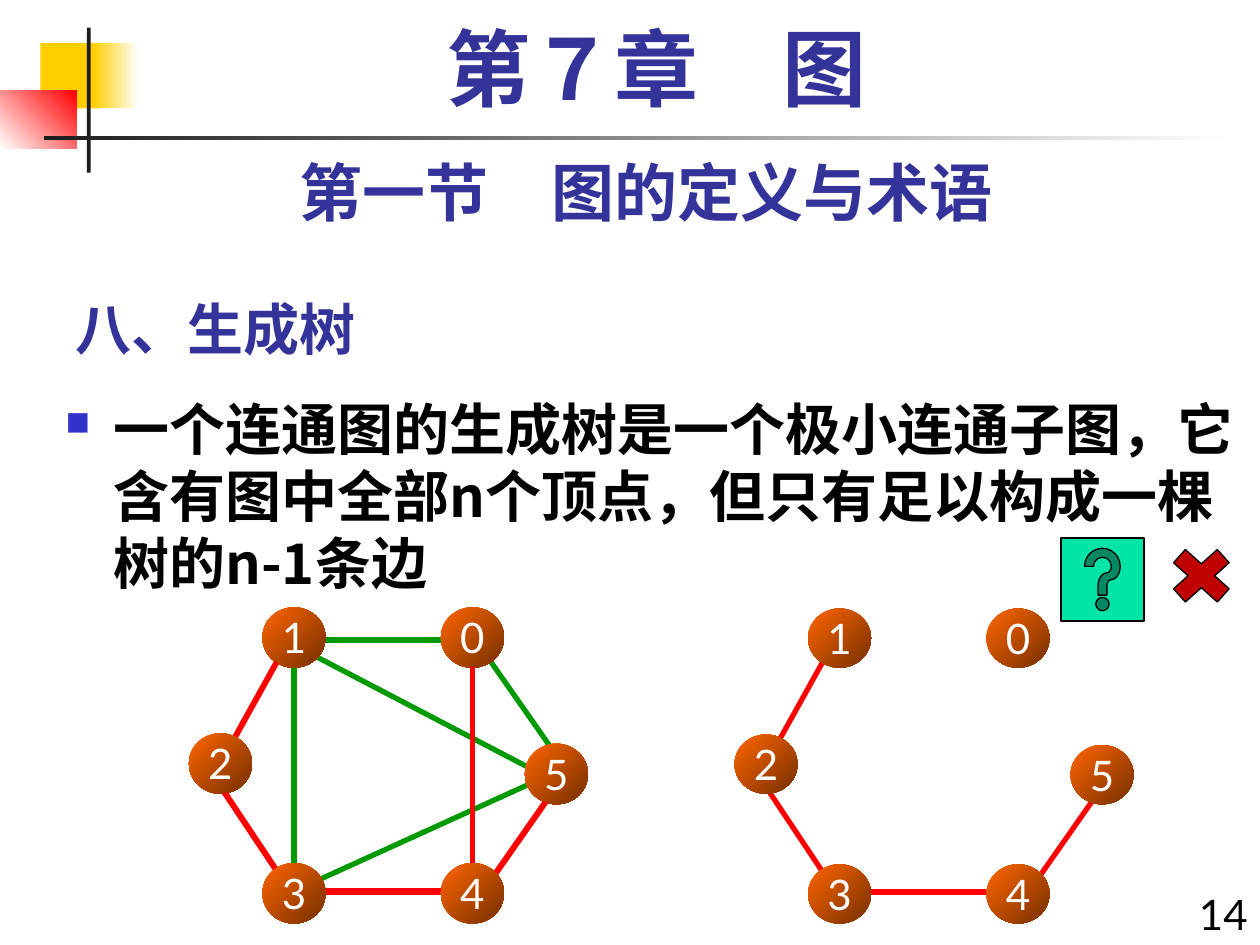
from typing import NamedTuple

from lxml.etree import SubElement
from pptx import Presentation
from pptx.dml.color import RGBColor
from pptx.enum.shapes import MSO_CONNECTOR as Link, MSO_SHAPE as Kind
from pptx.enum.text import MSO_ANCHOR as Anchor, PP_ALIGN as Align
from pptx.oxml.ns import qn
from pptx.util import Inches, Pt

SANS, LATO, SERIF = "Noto Sans CJK SC", "Lato", "Times New Roman"
BLUE, BLACK, WHITE, DARK = "333399", "000000", "FFFFFF", "1C1C1C"
GOLD, RED, GREEN = "FFCF01", "FF0000", "009900"
UNIT = 1 / 12  # grid step of the graphs, in inches


class Box(NamedTuple):
    left: float
    top: float
    width: float
    height: float

    def emu(self) -> list:
        return [Inches(v) for v in self]


class Node(NamedTuple):
    name: str
    col: float
    row: float


class Edge(NamedTuple):
    start: tuple
    end: tuple
    tree: bool


class Graph(NamedTuple):
    left: float
    top: float
    edges: list


class Patch(NamedTuple):
    box: Box
    fills: tuple
    angle: float = 0


NODES = [Node("1", 7, 0), Node("3", 7, 24.36), Node("2", 0, 12),
         Node("5", 32, 13), Node("4", 24, 24.36), Node("0", 24, 0)]
EDGES = [
    Edge((25, 3), (13, 3), False),
    Edge((27, 5), (27, 25), True),
    Edge((28, 4), (35, 14), False),
    Edge((9, 4), (4, 13), True),
    Edge((10, 26), (10, 5), False),
    Edge((34, 16), (11, 4), False),
    Edge((9, 26), (3, 17), True),
    Edge((26, 27), (11, 27), True),
    Edge((34, 16), (12, 26), False),
    Edge((35, 17), (28, 27), True),
]
TREE = [e for e in EDGES if e.tree]
GRAPHS = [Graph(1.5, 4.83, EDGES), Graph(1.5, 4.82, TREE),
          Graph(5.83, 4.83, TREE[1:])]
PATCHES = [
    Patch(Box(0.32, 0.34, 0.48, 0.52), (GOLD,)),
    Patch(Box(0.74, 0.34, 0.36, 0.52), (GOLD, WHITE)),
    Patch(Box(0, 0.72, 0.61, 0.46), (WHITE, RED), 45),
    Patch(Box(0.69, 0.22, 0.03, 1.15), (DARK,)),
    Patch(Box(0.35, 1.08, 9.45, 0.03), (DARK, WHITE)),
]


def color(code: str) -> RGBColor:
    return RGBColor.from_string(code)


def style(para, size: float, face: str, tint: str, bold: bool = False) -> None:
    font = para.font
    font.size, font.name, font.bold = Pt(size), face, bold
    font.color.rgb = color(tint)


def shape(slide, kind, box: Box, fills: tuple, angle: float = 0,
          rim: str = ""):
    """Add a preset shape with one flat colour or a two-colour gradient."""
    item = slide.shapes.add_shape(kind, *box.emu())
    item.shadow.inherit = False
    if len(fills) == 1:
        item.fill.solid()
        item.fill.fore_color.rgb = color(fills[0])
    else:
        item.fill.gradient()
        item.fill.gradient_angle = angle
        for stop, code, place in zip(item.fill.gradient_stops, fills, (0, 1)):
            stop.color.rgb = color(code)
            stop.position = place
    if rim:
        item.line.color.rgb = color(rim)
        item.line.width = Pt(0.75)
    else:
        item.line.fill.background()
    return item


def label(slide, box: Box, text: str, align=Align.LEFT, before: float = 0):
    """Add a wrapped text box and return its paragraph."""
    frame = slide.shapes.add_textbox(*box.emu()).text_frame
    frame.word_wrap = True
    para = frame.paragraphs[0]
    para.text, para.alignment, para.space_before = text, align, Pt(before)
    return para


def bullet(para, mark: str, tint: str, share: int) -> None:
    props = para._p.get_or_add_pPr()
    props.set("marL", str(Inches(0.38)))
    props.set("indent", str(-Inches(0.38)))
    parts = [SubElement(props, qn("a:buClr")), SubElement(props, qn("a:buSzPct")),
             SubElement(props, qn("a:buChar"))]
    SubElement(parts[0], qn("a:srgbClr")).set("val", tint)
    parts[1].set("val", str(share * 1000))
    parts[2].set("char", mark)


def draw_edge(slide, graph: Graph, edge: Edge) -> None:
    ends = [Inches(base + step * UNIT)
            for point in (edge.start, edge.end)
            for base, step in zip((graph.left, graph.top), point)]
    line = slide.shapes.add_connector(Link.STRAIGHT, *ends)
    line.line.color.rgb = color(RED if edge.tree else GREEN)
    line.line.width = Pt(3)
    SubElement(line._element.spPr, qn("a:effectLst"))


def draw_node(slide, graph: Graph, node: Node) -> None:
    box = Box(graph.left + node.col * UNIT, graph.top + node.row * UNIT, 0.5, 0.47)
    disc = shape(slide, Kind.OVAL, box, ("FF6600", "762F00"), 315)
    frame = disc.text_frame
    frame.margin_left = frame.margin_right = 0
    frame.word_wrap = False
    frame.vertical_anchor = Anchor.MIDDLE
    para = frame.paragraphs[0]
    para.text, para.alignment = node.name, Align.CENTER
    style(para, 24, LATO, WHITE)


def draw_graph(slide, graph: Graph) -> None:
    for edge in graph.edges:
        draw_edge(slide, graph, edge)
    for node in NODES:
        draw_node(slide, graph, node)


def main() -> None:
    deck = Presentation()
    deck.slide_width, deck.slide_height = Inches(10), Inches(7.5)
    slide = deck.slides.add_slide(deck.slide_layouts[5])

    for patch in PATCHES:
        shape(slide, Kind.RECTANGLE, *patch)

    title = slide.shapes.title
    title.left, title.top, title.width, title.height = Box(0.5, 2.17, 6.25, 0.75).emu()
    title.text_frame.vertical_anchor = Anchor.BOTTOM
    head = title.text_frame.paragraphs[0]
    head.text, head.alignment = "八、生成树", Align.LEFT
    style(head, 32, SANS, BLUE, True)

    page = label(slide, Box(9.33, 7, 0.67, 0.5), "14", Align.RIGHT, 12)
    style(page, 24, LATO, BLACK)
    part = label(slide, Box(0.5, 1.17, 9.25, 0.7), "第一节　图的定义与术语",
                 Align.CENTER, 18)
    style(part, 36, LATO, BLUE, True)
    body = label(slide, Box(0.42, 3.08, 9.58, 4.42),
                 "一个连通图的生成树是一个极小连通子图，它含有图中全部n个顶点，"
                 "但只有足以构成一棵树的n-1条边", before=9.6)
    bullet(body, "■", "3333CC", 60)
    style(body, 32, SANS, BLACK, True)
    chapter = label(slide, Box(0.67, 0.17, 9.08, 0.83), "第７章　图",
                    Align.CENTER, 9.6)
    chapter.line_spacing = 0.9
    style(chapter, 48, SERIF, BLUE, True)

    for graph in GRAPHS:
        draw_graph(slide, graph)
    shape(slide, Kind.ACTION_BUTTON_HELP, Box(8.42, 4.27, 0.66, 0.66),
          ("00E4A8",), rim=BLACK)
    shape(slide, Kind.MATH_MULTIPLY, Box(9.2, 4.27, 0.67, 0.6),
          ("C00000",), rim=BLACK)
    deck.save("out.pptx")


if __name__ == "__main__":
    main()
